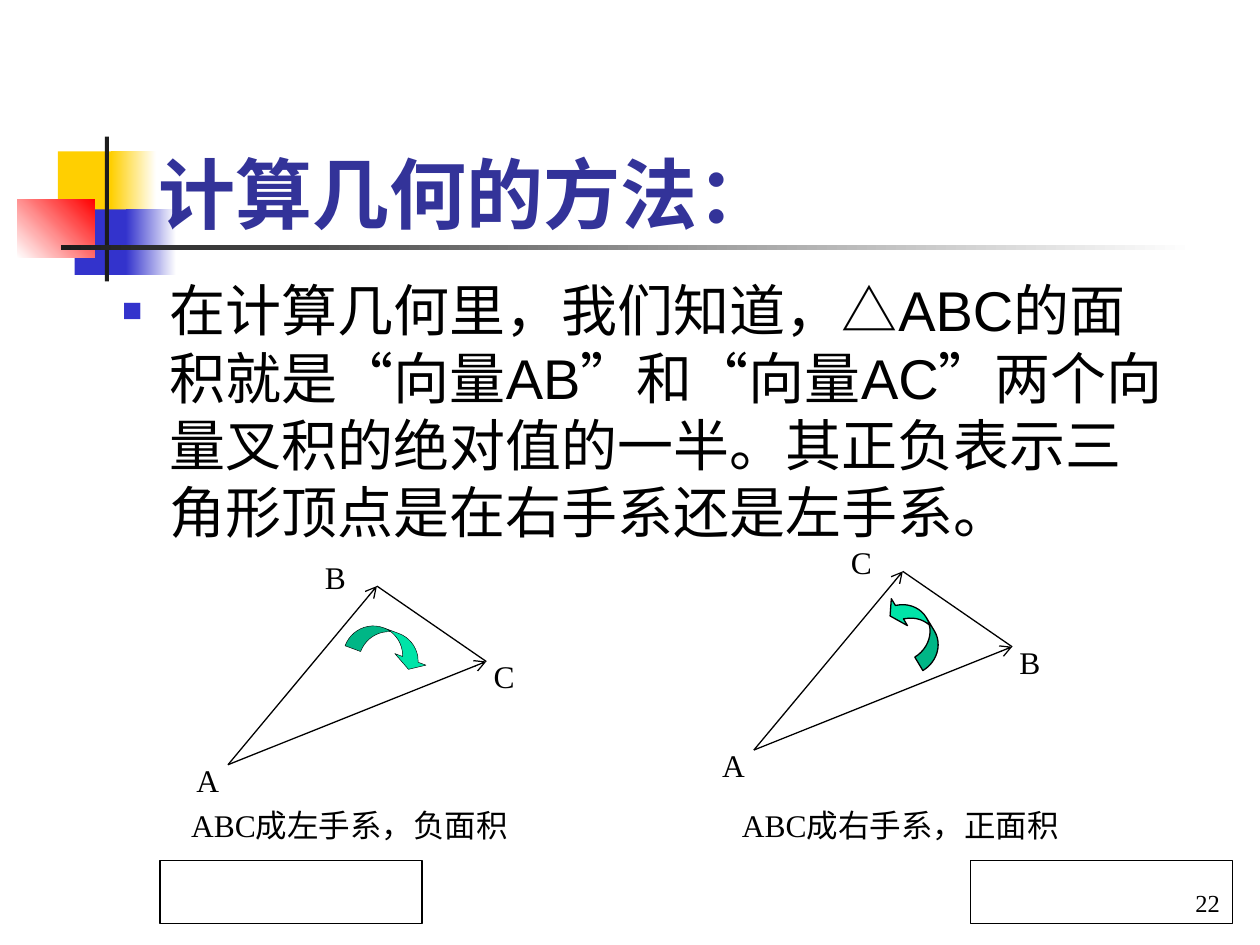
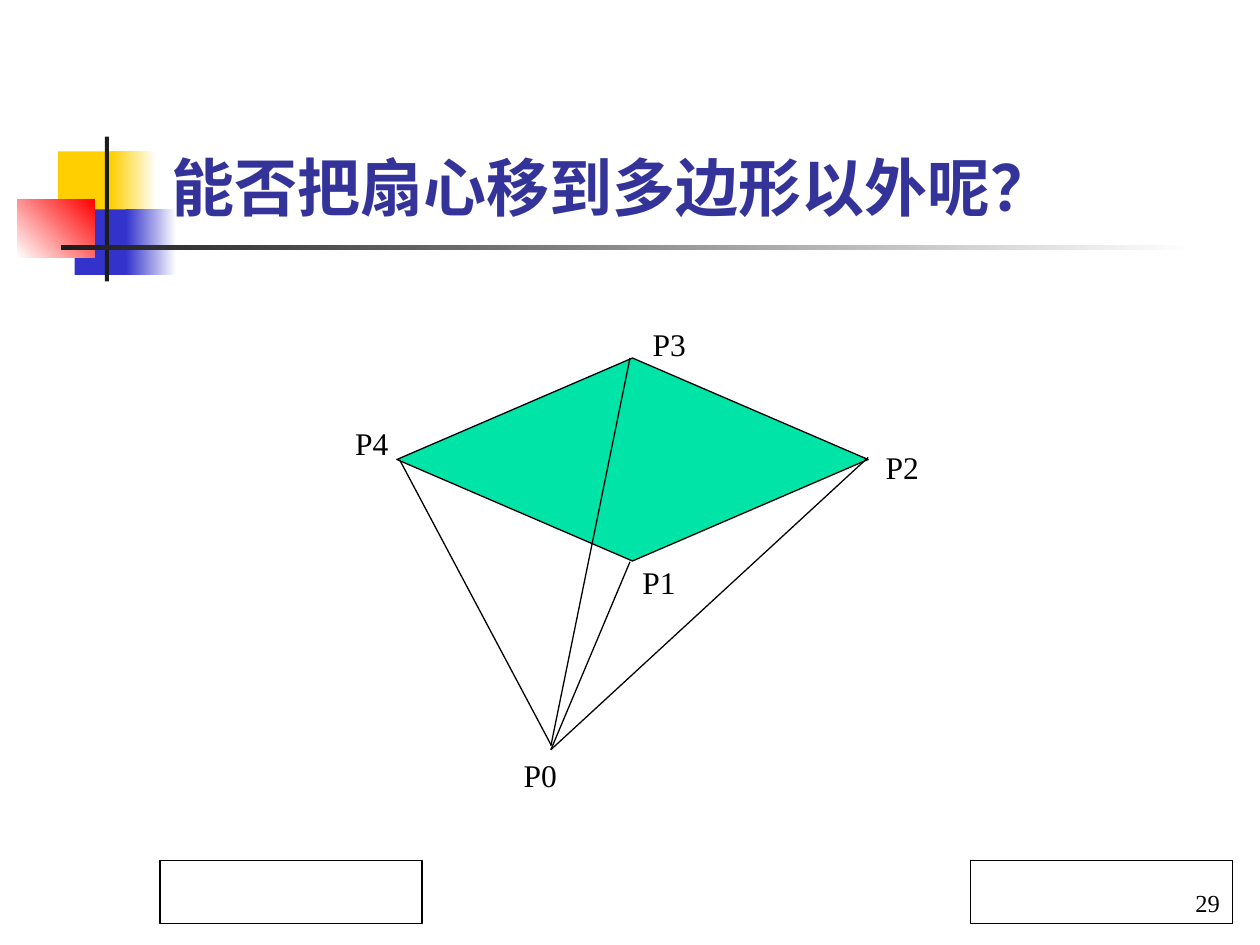
from lxml import etree
from pptx import Presentation
from pptx.dml.color import RGBColor
from pptx.enum.shapes import MSO_CONNECTOR, MSO_SHAPE
from pptx.enum.text import MSO_ANCHOR, MSO_AUTO_SIZE, PP_ALIGN
from pptx.oxml.ns import qn
from pptx.util import Pt

RECT = MSO_SHAPE.RECTANGLE
DIAMOND = MSO_SHAPE.DIAMOND
CURVED_DOWN = MSO_SHAPE.CURVED_DOWN_ARROW
CURVED_UP = MSO_SHAPE.CURVED_UP_ARROW
STRAIGHT = MSO_CONNECTOR.STRAIGHT
BOTTOM, TOP = MSO_ANCHOR.BOTTOM, MSO_ANCHOR.TOP
LEFT, RIGHT = PP_ALIGN.LEFT, PP_ALIGN.RIGHT
GROW, FIXED = MSO_AUTO_SIZE.SHAPE_TO_FIT_TEXT, MSO_AUTO_SIZE.NONE

SANS, SERIF = "Arial", "Times New Roman"
BLACK, WHITE, CHARCOAL = "000000", "FFFFFF", "1C1C1C"
YELLOW, BLUE, RED = "FFCF01", "3333CC", "FF0000"
NAVY, GREEN = "333399", "00E4A8"
TITLE_AND_BODY, TITLE_ONLY = 1, 5

EMBLEM = [
    ((33.1, 86.5, 34.6, 37.4), [YELLOW], 0),
    ((63.4, 86.5, 25.9, 37.4), [YELLOW, WHITE], 0),
    ((42.6, 119.7, 33.1, 37.4), [BLUE], 0),
    ((72, 119.7, 28.8, 37.4), [BLUE, WHITE], 0),
    ((9.8, 113.8, 44.3, 33.5), [WHITE, RED], 45),
    ((59.9, 78, 2.4, 82.8), [CHARCOAL], 0),
    ((34.8, 140.1, 648, 2.6), [CHARCOAL, WHITE], 0),
]


def color(hex_value):
    return RGBColor.from_string(hex_value)


def points(*lengths):
    return [Pt(length) for length in lengths]


class Deck:
    def __init__(self):
        self.prs = Presentation()
        self.prs.slide_width, self.prs.slide_height = points(720, 540)
        self.slide = self.canvas = None

    def new_slide(self, layout):
        self.slide = self.prs.slides.add_slide(self.prs.slide_layouts[layout])
        self.canvas = self.slide.shapes

    def start_group(self):
        self.canvas = self.slide.shapes.add_group_shape().shapes

    def end_group(self):
        self.canvas = self.slide.shapes

    def emblem(self):
        tree = self.prs.slide_master.shapes.element
        for order, (box, fills, angle) in enumerate(EMBLEM):
            part = self.shape(RECT, box, fills, angle=angle)
            part.element.nvSpPr.cNvPr.id = 100 + order
            tree.insert(2 + order, part.element)

    def shape(self, kind, box, fills, line=None, angle=0):
        shape = self.canvas.add_shape(kind, *points(*box))
        shape.shadow.inherit = False
        if len(fills) == 1:
            shape.fill.solid()
            shape.fill.fore_color.rgb = color(fills[0])
        else:
            shape.fill.gradient()
            shape.fill.gradient_angle = angle
            for stop, fill in zip(shape.fill.gradient_stops, fills):
                stop.color.rgb = color(fill)
        if line:
            shape.line.color.rgb = color(BLACK)
            shape.line.width = Pt(line)
        else:
            shape.line.fill.background()
        return shape

    def curved_arrow(self, kind, box, rotation, adjustments, line):
        arrow = self.shape(kind, box, [GREEN], line)
        arrow.rotation = rotation
        for index, value in enumerate(adjustments):
            arrow.adjustments[index] = value

    def line(self, start, end, arrow=False):
        line = self.canvas.add_connector(STRAIGHT, *points(*start, *end))
        line.line.color.rgb = color(BLACK)
        line.line.width = Pt(0.75)
        props = line.element.spPr
        if arrow:
            etree.SubElement(props.find(qn("a:ln")), qn("a:tailEnd"), type="arrow")
        etree.SubElement(props, qn("a:effectLst"))

    def set_text(self, shape, text, size, font=SERIF, ink=BLACK, bold=False,
                 align=LEFT, anchor=TOP, fit=FIXED):
        frame = shape.text_frame
        frame.text = text
        frame.word_wrap = True
        frame.auto_size = fit
        frame.vertical_anchor = anchor
        frame.margin_left = frame.margin_right = Pt(7.2)
        frame.margin_top = frame.margin_bottom = Pt(3.6)
        paragraph = frame.paragraphs[0]
        paragraph.alignment = align
        paragraph.space_before = Pt(0)
        run = paragraph.runs[0].font
        run.name, run.size, run.bold = font, Pt(size), bold
        run.color.rgb = color(ink)

    def place(self, placeholder, box):
        (placeholder.left, placeholder.top,
         placeholder.width, placeholder.height) = points(*box)
        return placeholder

    def title(self, text, box, size):
        title = self.place(self.slide.shapes.title, box)
        self.set_text(title, text, size, SANS, NAVY, True, anchor=BOTTOM)

    def body(self, text, box):
        body = self.place(self.slide.placeholders[1], box)
        self.set_text(body, text, 32, SANS)
        props = body.element.find(".//" + qn("a:pPr"))
        props.set("marL", str(Pt(27)))
        props.set("indent", str(Pt(-27)))
        bullet_color = etree.SubElement(props, qn("a:buClr"))
        etree.SubElement(bullet_color, qn("a:srgbClr"), val=BLUE)
        etree.SubElement(props, qn("a:buSzPct"), val="60000")
        etree.SubElement(props, qn("a:buChar"), char="■")

    def label(self, text, left, top, width):
        label = self.canvas.add_textbox(*points(left, top, width, 28.8))
        self.set_text(label, text, 18, fit=GROW)

    def footer(self, number):
        self.shape(RECT, (91.4, 491.8, 149.8, 36), [WHITE], 0.75)
        number_box = self.shape(RECT, (554.4, 491.8, 149.8, 36), [WHITE], 0.75)
        self.set_text(number_box, number, 14, align=RIGHT, anchor=BOTTOM)

    def triangle(self, dx, dy, upper_name, right_name, turn):
        vertex_a, upper, right = [(x + dx, y + dy) for x, y in
                                  ((130.3, 437), (215.4, 334.9), (277.9, 378))]
        self.start_group()
        self.line(vertex_a, upper, arrow=True)
        self.line(vertex_a, right, arrow=True)
        self.line(upper, right)
        for name, x, y in ((upper_name, 178.6, 315.4), (right_name, 275, 372.2),
                           ("A", 105.1, 431.3)):
            self.label(name, x + dx, y + dy, 45.4)
        self.curved_arrow(*turn)
        self.end_group()


def orientation_slide(deck):
    deck.new_slide(TITLE_AND_BODY)
    deck.emblem()
    deck.title("计算几何的方法：", (83.5, 71.3, 404, 69.1), 44)
    deck.body("在计算几何里，我们知道，△ABC的面积就是“向量AB”和“向量AC”两个向量叉积的"
              "绝对值的一半。其正负表示三角形顶点是在右手系还是左手系。",
              (62.6, 154.1, 612, 175.7))
    deck.label("ABC成左手系，负面积", 102.2, 457.2, 221)
    deck.label("ABC成右手系，正面积", 416.9, 457.2, 221)
    clockwise = (CURVED_DOWN, (198.7, 360.7, 48.2, 17.3), 20.4, (0.55, 1.1, 0.33), 0.25)
    counterclockwise = (CURVED_UP, (500.4, 350.6, 45.4, 17.3), 239, (0.52, 1.04, 0.33), 0.75)
    deck.triangle(0, 0, "B", "C", clockwise)
    deck.triangle(300.5, -8.4, "C", "B", counterclockwise)
    deck.footer("22")


def fan_center_slide(deck):
    deck.new_slide(TITLE_ONLY)
    deck.title("能否把扇心移到多边形以外呢？", (90.7, 77, 584, 54.7), 36)
    deck.start_group()
    deck.shape(DIAMOND, (226.8, 204.6, 269.3, 116), [GREEN], 0.75)
    for fan_center_y, vertex in ((428.4, (496.1, 261.4)), (428.4, (360, 321)),
                                 (426.2, (360, 204.6)), (425.5, (228.4, 262.8))):
        deck.line((314.8, fan_center_y), vertex)
    for index, (x, y) in enumerate(((292.1, 428.4), (360, 318.2), (499, 252.7),
                                    (365.8, 182.2), (195.8, 239))):
        deck.label(f"P{index}", x, y, 42.5)
    deck.end_group()
    deck.footer("29")


def main():
    deck = Deck()
    orientation_slide(deck)
    fan_center_slide(deck)
    deck.prs.save("out.pptx")


if __name__ == "__main__":
    main()
